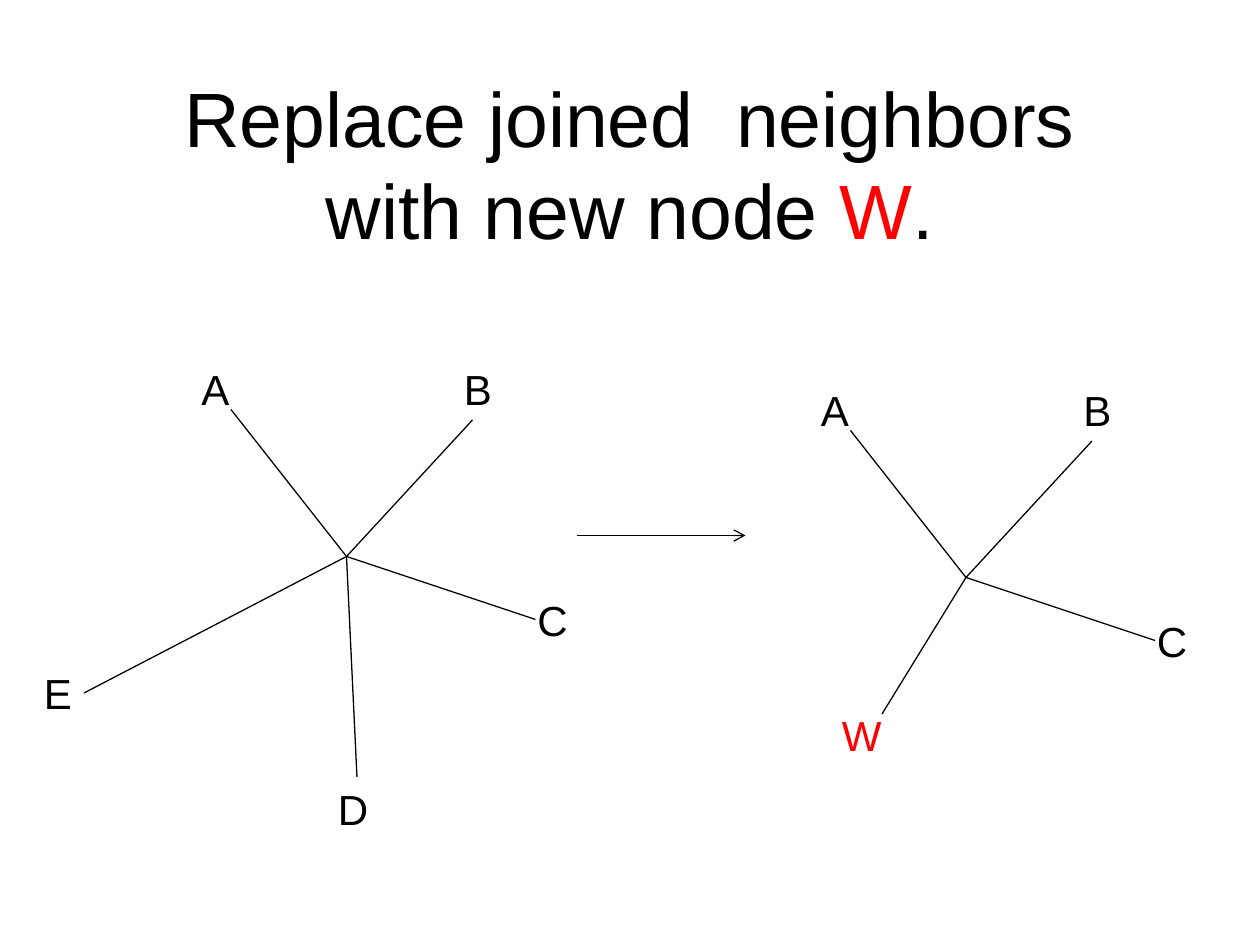
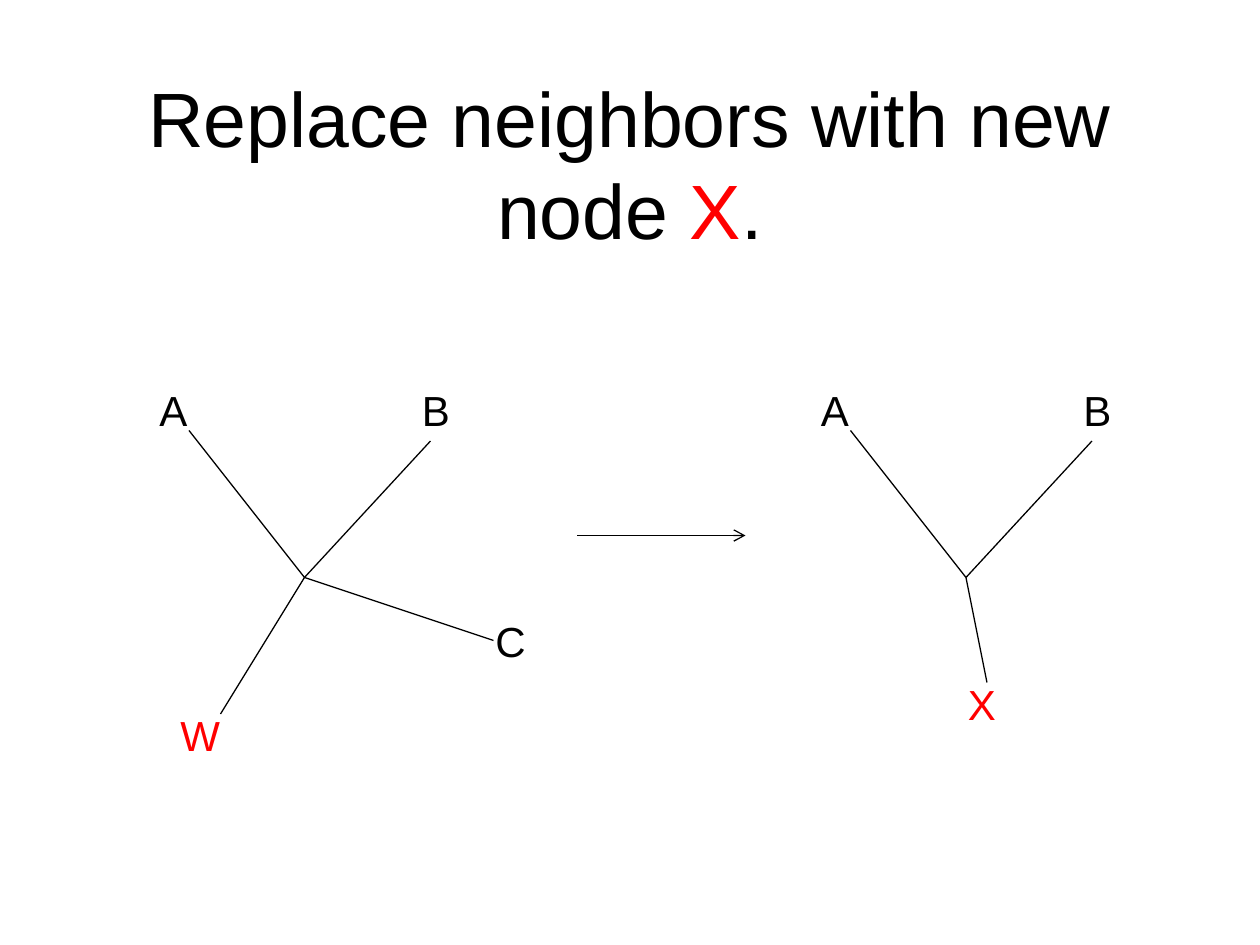
"""Build two slides that show neighbor joining as star diagrams before and after a merge."""
import dataclasses

import lxml.etree
import pptx
import pptx.dml.color
import pptx.enum.shapes
import pptx.enum.text
import pptx.oxml.ns
import pptx.util

SLIDES = [
    {
        "title": [("Replace joined  neighbors with new node ", False), ("W", True), (".", False)],
        "stars": [((33, 53), "ABCDE"), ((92, 55), "ABCW")],
    },
    {
        "title": [("Replace neighbors with new node ", False), ("X", True), (".", False)],
        "stars": [((29, 55), "ABCW"), ((92, 55), "ABX")],
    },
]

# Branch tip and label corner, in grid cells from the hub of the star.
BRANCHES = {
    "A": ((-11, -14), (-15, -19)),
    "B": ((12, -13), (10, -19)),
    "C": ((18, 6), (17, 3)),
    "D": ((1, 21), (-2, 21)),
    "E": ((-25, 13), (-30, 10)),
    "W": ((-8, 13), (-13, 12)),
    "X": ((2, 10), (-1, 9)),
}
NEW_NODES = "WX"

COLUMNS, ROWS = 120, 90
TITLE_AREA = (9, 8, 102, 15)
ARROW = ((55, 51), (71, 51))
LABEL_WIDTH, NEW_LABEL_WIDTH, LABEL_HEIGHT = 5.28, 7, 6


@dataclasses.dataclass(frozen=True)
class Theme:
    font: str = "Arial"
    ink: str = "000000"
    accent: str = "FF0000"
    background: str = "FFFFFF"
    title_size: float = 44
    label_size: float = 24
    line_width: float = 0.75


THEME = Theme()
CELL = pptx.util.Inches(10) // COLUMNS


def color(value):
    return pptx.dml.color.RGBColor.from_string(value)


def cells(*lengths):
    return [pptx.util.Emu(round(length * CELL)) for length in lengths]


def shift(point, offset):
    return point[0] + offset[0], point[1] + offset[1]


def add_text(shapes, area, parts, size, alignment, anchor):
    shape = shapes.add_textbox(*cells(*area))
    frame = shape.text_frame
    frame.word_wrap = True
    frame.vertical_anchor = anchor
    paragraph = frame.paragraphs[0]
    paragraph.alignment = alignment
    for text, highlighted in parts:
        run = paragraph.add_run()
        run.text = text
        run.font.name = THEME.font
        run.font.size = pptx.util.Pt(size)
        run.font.color.rgb = color(THEME.accent if highlighted else THEME.ink)


def add_line(shapes, start, end, arrow=False):
    connector = shapes.add_connector(
        pptx.enum.shapes.MSO_CONNECTOR.STRAIGHT, *cells(*start, *end))
    connector.line.color.rgb = color(THEME.ink)
    connector.line.width = pptx.util.Pt(THEME.line_width)
    properties = connector.element.spPr
    if arrow:
        outline = properties.find(pptx.oxml.ns.qn("a:ln"))
        lxml.etree.SubElement(outline, pptx.oxml.ns.qn("a:tailEnd"), type="arrow")
    lxml.etree.SubElement(properties, pptx.oxml.ns.qn("a:effectLst"))


def add_star(slide, hub, nodes):
    shapes = slide.shapes.add_group_shape().shapes
    for node in nodes:
        add_line(shapes, hub, shift(hub, BRANCHES[node][0]))
    for node in nodes:
        is_new = node in NEW_NODES
        width = NEW_LABEL_WIDTH if is_new else LABEL_WIDTH
        area = (*shift(hub, BRANCHES[node][1]), width, LABEL_HEIGHT)
        add_text(shapes, area, [(node, is_new)], THEME.label_size,
                 pptx.enum.text.PP_ALIGN.LEFT, pptx.enum.text.MSO_ANCHOR.TOP)


def add_slide(presentation, content):
    slide = presentation.slides.add_slide(presentation.slide_layouts[6])
    slide.background.fill.solid()
    slide.background.fill.fore_color.rgb = color(THEME.background)
    add_text(slide.shapes, TITLE_AREA, content["title"], THEME.title_size,
             pptx.enum.text.PP_ALIGN.CENTER, pptx.enum.text.MSO_ANCHOR.MIDDLE)
    for hub, nodes in content["stars"]:
        add_star(slide, hub, nodes)
    add_line(slide.shapes, *ARROW, arrow=True)


def main():
    presentation = pptx.Presentation()
    presentation.slide_width, presentation.slide_height = cells(COLUMNS, ROWS)
    for content in SLIDES:
        add_slide(presentation, content)
    presentation.save("out.pptx")


if __name__ == "__main__":
    main()
